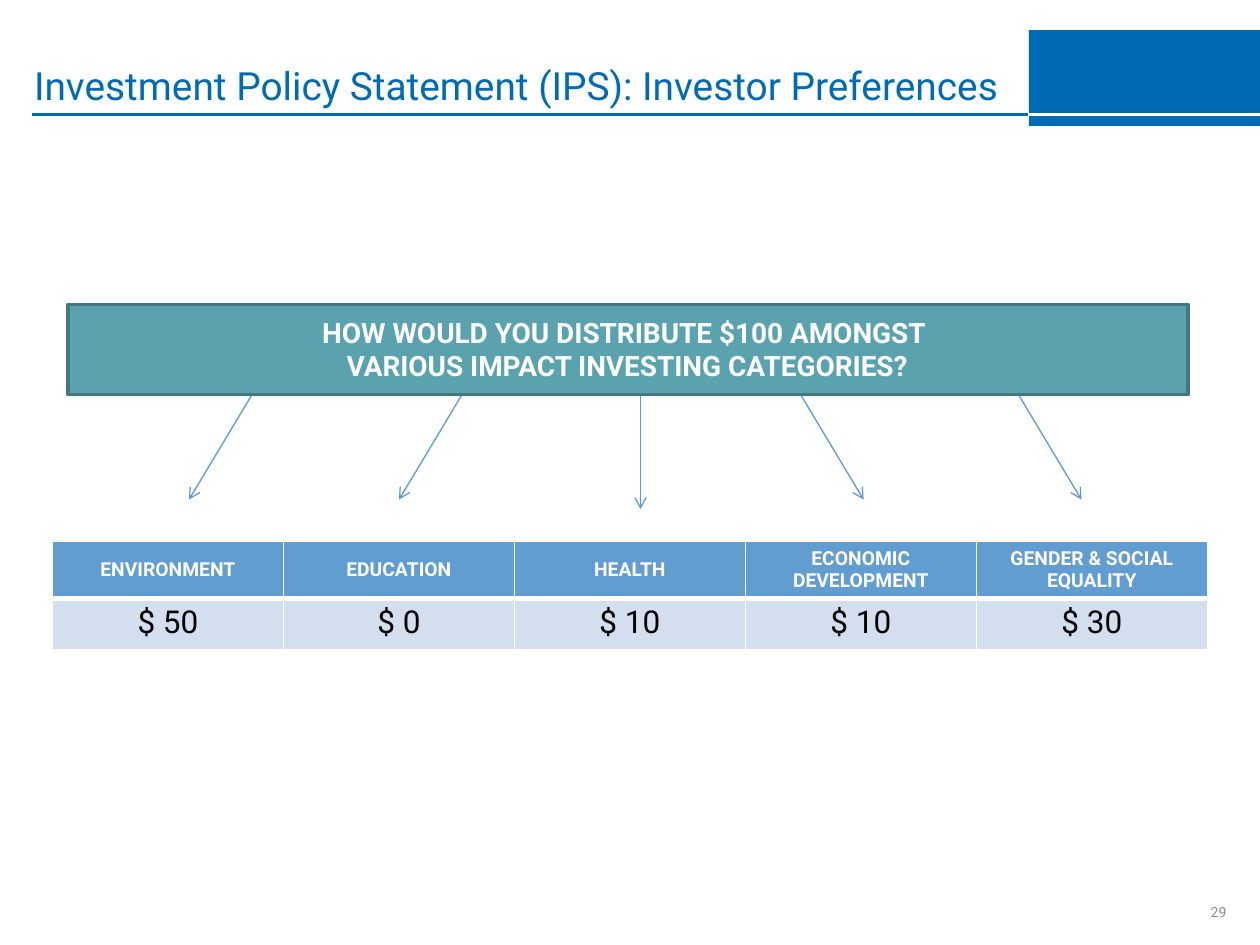
"""Builds the investor preferences slide of an investment policy statement deck."""
import pptx
import pptx.dml.color
import pptx.enum.shapes
import pptx.enum.text
import pptx.oxml
import pptx.oxml.ns
import pptx.util

Pt = pptx.util.Pt
ALIGN = pptx.enum.text.PP_ALIGN
ANCHOR = pptx.enum.text.MSO_ANCHOR
FONT = "Roboto"
BLUE, WHITE, BLACK, GREY = "006BB5", "FFFFFF", "000000", "8C8C8C"
TEAL, DARK_TEAL, ARROW_BLUE = "5AA2AE", "437881", "5D9ACF"
HEADER_BLUE, PALE_BLUE = "629DD1", "D3DFEE"

TITLE = "Investment Policy Statement (IPS): Investor Preferences"
QUESTION = ["HOW WOULD YOU DISTRIBUTE $100 AMONGST ",
            "VARIOUS IMPACT INVESTING CATEGORIES?"]
PAGE_NUMBER = "29"
ALLOCATIONS = [
    ("ENVIRONMENT", "$ 50"),
    ("EDUCATION", "$ 0"),
    ("HEALTH", "$ 10"),
    ("ECONOMIC DEVELOPMENT", "$ 10"),
    ("GENDER & SOCIAL EQUALITY", "$ 30"),
]
ARROWS = [(144, -36, 60), (264, -36, 60), (366, 0, 65.5), (457.5, 36, 60), (582, 36, 60)]
ARROW_TOP = 225.5
ROW_HEIGHTS = (33, 29.5)


def color(code):
    return pptx.dml.color.RGBColor.from_string(code)


def write(frame, text, size, shade, bold=False, align=ALIGN.LEFT, anchor=ANCHOR.TOP):
    frame.word_wrap = True
    frame.vertical_anchor = anchor
    lines = [text] if isinstance(text, str) else text
    for index, line in enumerate(lines):
        para = frame.paragraphs[0] if index == 0 else frame.add_paragraph()
        para.alignment = align
        span = para.add_run()
        span.text = line
        span.font.name, span.font.size, span.font.bold = FONT, Pt(size), bold
        span.font.color.rgb = color(shade)


def add_text(page, place, text, **style):
    box = page.shapes.add_textbox(*map(Pt, place))
    write(box.text_frame, text, **style)


def add_rectangle(page, place, fill, line=None):
    box = page.shapes.add_shape(pptx.enum.shapes.MSO_SHAPE.RECTANGLE, *map(Pt, place))
    box.shadow.inherit = False
    box.fill.solid()
    box.fill.fore_color.rgb = color(fill)
    if line:
        box.line.color.rgb = color(line)
        box.line.width = Pt(2)
    else:
        box.line.fill.background()


def add_line(page, ends, shade, width, arrow=False):
    line = page.shapes.add_connector(pptx.enum.shapes.MSO_CONNECTOR.STRAIGHT, *map(Pt, ends))
    line.line.color.rgb = color(shade)
    line.line.width = Pt(width)
    if arrow:
        outline = line.line._get_or_add_ln()
        outline.append(pptx.oxml.parse_xml(
            f'<a:tailEnd {pptx.oxml.ns.nsdecls("a")} type="arrow"/>'))
    line._element.spPr.append(pptx.oxml.parse_xml(
        f'<a:effectLst {pptx.oxml.ns.nsdecls("a")}/>'))


def set_borders(cell, **widths):
    properties = cell._tc.get_or_add_tcPr()
    for index, (side, width) in enumerate(widths.items()):
        properties.insert(index, pptx.oxml.parse_xml(
            f'<a:ln{side} {pptx.oxml.ns.nsdecls("a")} w="{Pt(width)}"><a:solidFill>'
            f'<a:srgbClr val="{WHITE}"/></a:solidFill></a:ln{side}>'))


def add_allocation_table(page):
    frame = page.shapes.add_table(2, len(ALLOCATIONS), Pt(30), Pt(309), Pt(660),
                                  Pt(sum(ROW_HEIGHTS)))
    styles = [
        (HEADER_BLUE, dict(size=11, shade=WHITE, bold=True, anchor=ANCHOR.MIDDLE),
         dict(L=1, R=1, T=1, B=3)),
        (PALE_BLUE, dict(size=18, shade=BLACK), dict(L=1, R=1, T=3, B=1)),
    ]
    for row, (fill, style, borders) in enumerate(styles):
        frame.table.rows[row].height = Pt(ROW_HEIGHTS[row])
        for column, allocation in enumerate(ALLOCATIONS):
            cell = frame.table.cell(row, column)
            cell.fill.solid()
            cell.fill.fore_color.rgb = color(fill)
            set_borders(cell, **borders)
            cell.vertical_anchor = style.get("anchor", ANCHOR.TOP)
            write(cell.text_frame, allocation[row], align=ALIGN.CENTER,
                  **{key: value for key, value in style.items() if key != "anchor"})


def add_title(page):
    title = page.shapes.title
    title.left, title.top, title.width, title.height = map(Pt, (12.25, 8, 575.25, 57.5))
    title.text_frame.auto_size = pptx.enum.text.MSO_AUTO_SIZE.NONE
    write(title.text_frame, TITLE, size=22.2, shade=BLUE, anchor=ANCHOR.BOTTOM)


def main():
    deck = pptx.Presentation()
    deck.slide_width, deck.slide_height = Pt(720), Pt(540)
    page = deck.slides.add_slide(deck.slide_layouts[5])
    add_line(page, (18, 65.5, 720, 65.5), BLUE, 1.5)
    add_rectangle(page, (588, 17.25, 132, 54.75), BLUE)
    add_line(page, (587.5, 65.5, 720, 65.5), WHITE, 1.5)
    add_title(page)
    add_allocation_table(page)
    for left, shift, drop in ARROWS:
        add_line(page, (left, ARROW_TOP, left + shift, ARROW_TOP + drop),
                 ARROW_BLUE, 0.75, arrow=True)
    add_rectangle(page, (39, 174, 640, 51.5), TEAL, DARK_TEAL)
    add_text(page, (31.5, 176.5, 654, 46), QUESTION, size=16, shade=WHITE, bold=True,
             align=ALIGN.CENTER)
    add_text(page, (642, 500.5, 66, 28.75), PAGE_NUMBER, size=8, shade=GREY,
             align=ALIGN.RIGHT, anchor=ANCHOR.BOTTOM)
    deck.save("out.pptx")


if __name__ == "__main__":
    main()
